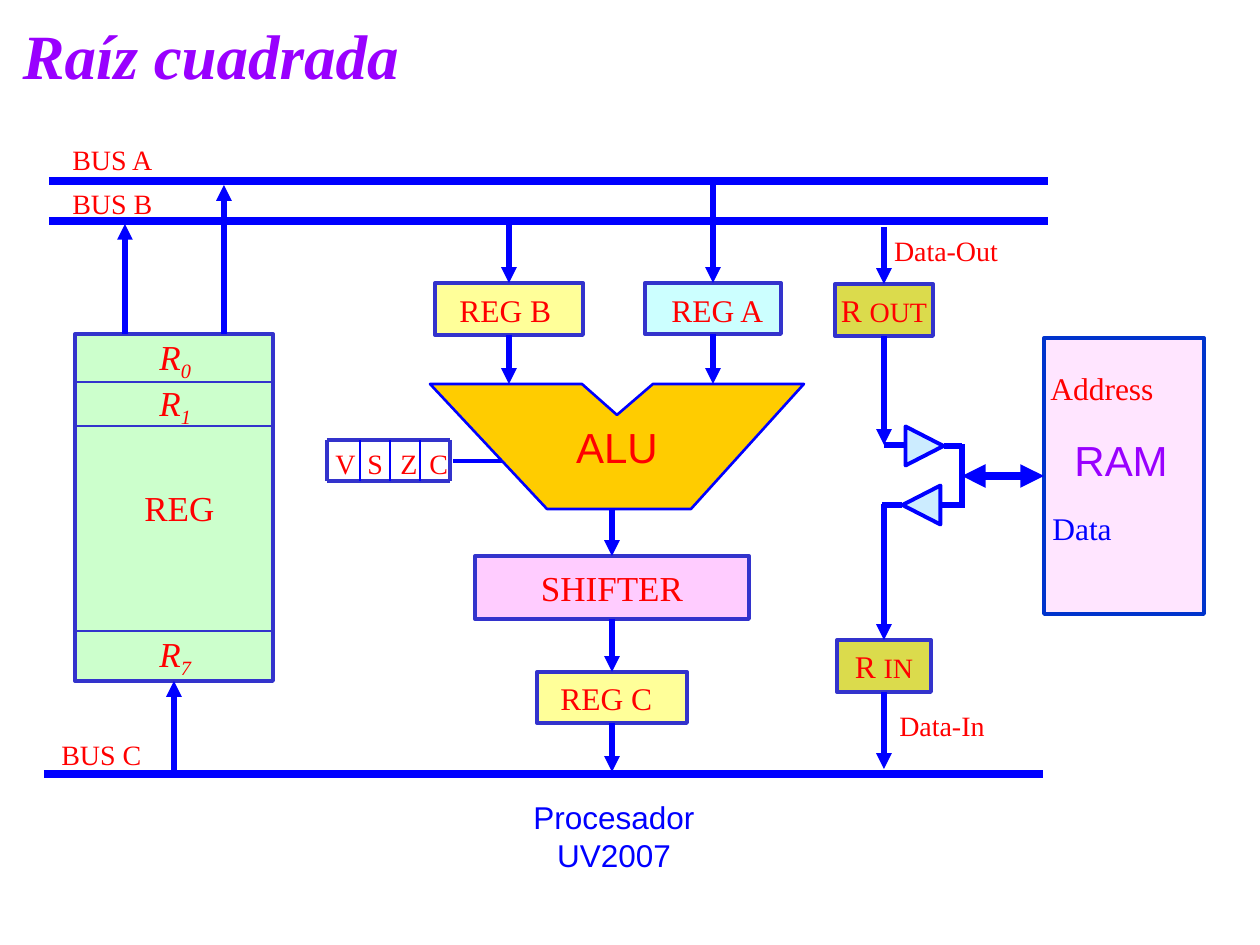
import pptx
import pptx.util
import pptx.dml.color
import pptx.enum.shapes
import pptx.enum.text
import pptx.oxml.ns
from lxml import etree

SCALE = 914400 / 126
THEME = {
    "serif": "Times New Roman", "sans": "Arial",
    "red": "FF0000", "blue": "0000FF", "violet": "9900FF",
    "border": "3333CC", "ram border": "0033CC",
    "green": "CCFFCC", "yellow": "FFFF99", "cyan": "CCFFFF", "pink": "FFCCFF",
    "olive": "CCCC00", "gate": "CCECFF", "orange": "FFCC00",
    "title": 36, "large": 24, "medium": 20, "normal": 18, "small": 16,
    "bus": 4.5, "wire": 3, "box": 2.25, "flag": 2, "thin": 1.5, "hair": 1,
}

TITLE = ("Raíz cuadrada", (10, 10, 1140, 88))

# name: (left, top, width, height), fill, border, opacity, runs
BOXES = {
    "registers": ((75, 334, 198, 347), "green", "border", 100, []),
    "reg b": ((435, 283, 148, 52), "yellow", "border", 100, []),
    "reg a": ((645, 283, 136, 51), "cyan", "border", 100, []),
    "shifter": ((475, 556, 274, 63), "pink", "border", 100, [("SHIFTER", "medium")]),
    "reg c": ((537, 672, 150, 51), "yellow", "border", 100, []),
    "r out": ((835, 284, 98, 52), "olive", "border", 70, [("R ", "normal"), ("OUT", "small")]),
    "r in": ((837, 640, 94, 52), "olive", "border", 70, [("R ", "normal"), ("IN", "small")]),
    "ram": ((1044, 338, 160, 276), "pink", "ram border", 50, []),
}

ALU = [(430, 384), (582, 384), (617, 415), (653, 384), (804, 384), (691, 509), (547, 509)]
GATES = [((905, 427, 39, 38), 90), ((902, 486, 39, 38), 270)]

# An end is a point or a box name with its side
ARROWS = [
    ((174, 774), ("registers", 2)),
    ((125, 334), (125, 224)),
    ((224, 334), (224, 185)),
    ((509, 224), ("reg b", 0)),
    ((713, 185), ("reg a", 0)),
    (("reg b", 2), (509, 384)),
    (("reg a", 2), (713, 384)),
    ((612, 509), ("shifter", 0)),
    (("shifter", 2), ("reg c", 0)),
    (("reg c", 2), (612, 772)),
    ((884, 227), ("r out", 0)),
    (("r out", 2), (884, 445)),
    ((884, 504), ("r in", 0)),
    (("r in", 2), (884, 769)),
]
GATE_WIRES = [
    ((884, 445), (905, 445)), ((944, 446), (962, 446)),
    ((882, 505), (902, 505)), ((941, 505), (962, 505)),
    ((962, 444), (962, 508)),
]
BUSES = [((49, 181), (1048, 181)), ((49, 221), (1048, 221)), ((44, 774), (1043, 774))]
REGISTER_DIVIDERS = [382, 426, 631]
FLAGS = [("V", 323), ("S", 355), ("Z", 388), ("C", 417)]
FLAG_EDGES = [327, 360, 390, 420, 450]
FLAG_TOP, FLAG_BOTTOM = 440, 481

LABELS = [
    ("BUS A", (60, 136, 188, 47), "small", "serif", "red"),
    ("BUS B", (60, 180, 188, 47), "small", "serif", "red"),
    ("BUS C", (49, 731, 188, 47), "small", "serif", "red"),
    ("REG", (132, 480, 98, 55), "medium", "serif", "red"),
    ("REG B", (447, 285, 188, 50), "normal", "serif", "red"),
    ("REG A", (659, 285, 174, 50), "normal", "serif", "red"),
    ("REG C", (548, 673, 174, 50), "normal", "serif", "red"),
    ("Address", (1038, 363, 136, 50), "normal", "serif", "red"),
    ("Data", (1040, 503, 91, 50), "normal", "serif", "blue"),
    ("RAM", (1062, 428, 120, 63), "large", "sans", "violet"),
]
DATA_LABELS = [("Data-Out", (861, 237, 170, 37)), ("Data-In", (857, 712, 170, 37))]
REGISTER_NAMES = [("0", 329), ("1", 375), ("7", 626)]
CAPTION = ("Procesador UV2007", (472, 817, 284, 38))

CENTER = pptx.enum.text.PP_ALIGN.CENTER
LEFT = pptx.enum.text.PP_ALIGN.LEFT
TOP = pptx.enum.text.MSO_ANCHOR.TOP
MIDDLE = pptx.enum.text.MSO_ANCHOR.MIDDLE


def px(*lengths):
    return [pptx.util.Emu(round(length * SCALE)) for length in lengths]


def color(name):
    return pptx.dml.color.RGBColor.from_string(THEME[name])


def style_shape(shape, fill, border, width, opacity=100):
    shape.shadow.inherit = False
    shape.fill.solid()
    shape.fill.fore_color.rgb = color(fill)
    if opacity < 100:
        tint = shape._element.spPr.find(".//" + pptx.oxml.ns.qn("a:srgbClr"))
        etree.SubElement(tint, pptx.oxml.ns.qn("a:alpha"), val=str(opacity * 1000))
    shape.line.color.rgb = color(border)
    shape.line.width = pptx.util.Pt(THEME[width])


def write(shape, runs, size, font="serif", ink="red", align=LEFT, anchor=TOP, wrap=True):
    frame = shape.text_frame
    frame.word_wrap = wrap
    frame.vertical_anchor = anchor
    paragraph = frame.paragraphs[0]
    paragraph.alignment = align
    paragraph.font.name = THEME[font]
    paragraph.font.size = pptx.util.Pt(THEME[size])
    paragraph.font.color.rgb = color(ink)
    for text, run_size in runs:
        run = paragraph.add_run()
        run.text = text
        if run_size != size:
            run.font.size = pptx.util.Pt(THEME[run_size])
    return paragraph


def add_label(slide, text, place, size, *style, **options):
    textbox = slide.shapes.add_textbox(*px(*place))
    return write(textbox, [(text, size)], size, *style, **options)


def add_line(slide, boxes, start, end, width="wire", ink="blue", heads=()):
    points = [(0, 0) if point[0] in boxes else point for point in (start, end)]
    line = slide.shapes.add_connector(
        pptx.enum.shapes.MSO_CONNECTOR.STRAIGHT, *px(*points[0], *points[1]))
    for point, connect in ((start, line.begin_connect), (end, line.end_connect)):
        if point[0] in boxes:
            connect(boxes[point[0]], point[1])
    line.line.color.rgb = color(ink)
    line.line.width = pptx.util.Pt(THEME[width])
    for head in heads:
        etree.SubElement(line.line._get_or_add_ln(), pptx.oxml.ns.qn("a:" + head), type="triangle")
    etree.SubElement(line._element.spPr, pptx.oxml.ns.qn("a:effectLst"))


def main():
    presentation = pptx.Presentation()
    presentation.slide_width, presentation.slide_height = px(1260, 945)
    slide = presentation.slides.add_slide(presentation.slide_layouts[5])
    shapes = slide.shapes

    title = shapes.title
    title.left, title.top, title.width, title.height = px(*TITLE[1])
    heading = write(title, [(TITLE[0], "title")], "title", ink="violet")
    heading.font.bold = heading.font.italic = True

    boxes = {}
    for name, (place, fill, border, opacity, runs) in BOXES.items():
        box = shapes.add_shape(pptx.enum.shapes.MSO_SHAPE.RECTANGLE, *px(*place))
        style_shape(box, fill, border, "box", opacity)
        if runs:
            write(box, runs, runs[0][1], align=CENTER, anchor=MIDDLE, wrap=False)
        boxes[name] = box

    for y in REGISTER_DIVIDERS:
        add_line(slide, boxes, (75, y), (273, y), "thin", "border")
    for y in (FLAG_TOP, FLAG_BOTTOM):
        add_line(slide, boxes, (FLAG_EDGES[0], y), (FLAG_EDGES[-1], y), "box", "border")
    for x in FLAG_EDGES:
        outer = x in (FLAG_EDGES[0], FLAG_EDGES[-1])
        style = ("box", "border") if outer else ("hair", "blue")
        add_line(slide, boxes, (x, FLAG_TOP), (x, FLAG_BOTTOM), *style)
    add_line(slide, boxes, (453, 461), (504, 461), "flag")

    for place, rotation in GATES:
        gate = shapes.add_shape(pptx.enum.shapes.MSO_SHAPE.ISOSCELES_TRIANGLE, *px(*place))
        gate.rotation = rotation
        style_shape(gate, "gate", "blue", "box")
    for start, end in GATE_WIRES:
        add_line(slide, boxes, start, end)
    for start, end in ARROWS:
        add_line(slide, boxes, start, end, heads=["tailEnd"])
    add_line(slide, boxes, (962, 476), ("ram", 1), "bus", heads=["headEnd", "tailEnd"])
    for start, end in BUSES:
        add_line(slide, boxes, start, end, "bus")

    builder = shapes.build_freeform(*ALU[0], scale=SCALE)
    builder.add_line_segments(ALU[1:], close=True)
    alu = builder.convert_to_shape()
    style_shape(alu, "orange", "blue", "thin")
    write(alu, [("ALU", "large")], "large", "sans", align=CENTER, anchor=MIDDLE)

    for label in LABELS:
        add_label(slide, *label)
    for text, place in DATA_LABELS:
        add_label(slide, text, place, "small", align=CENTER).line_spacing = 0.7
    for text, left in FLAGS:
        add_label(slide, text, (left, FLAG_TOP, 33, 42), "small", align=CENTER)
    for number, top in REGISTER_NAMES:
        paragraph = add_label(slide, "R", (147, top, 57, 60), "medium", wrap=False)
        paragraph.font.italic = True
        subscript = paragraph.add_run()
        subscript.text = number
        subscript._r.get_or_add_rPr().set("baseline", "-25000")
    add_label(slide, *CAPTION, "normal", "sans", "blue", align=CENTER, anchor=MIDDLE, wrap=False)

    presentation.save("out.pptx")


if __name__ == "__main__":
    main()
